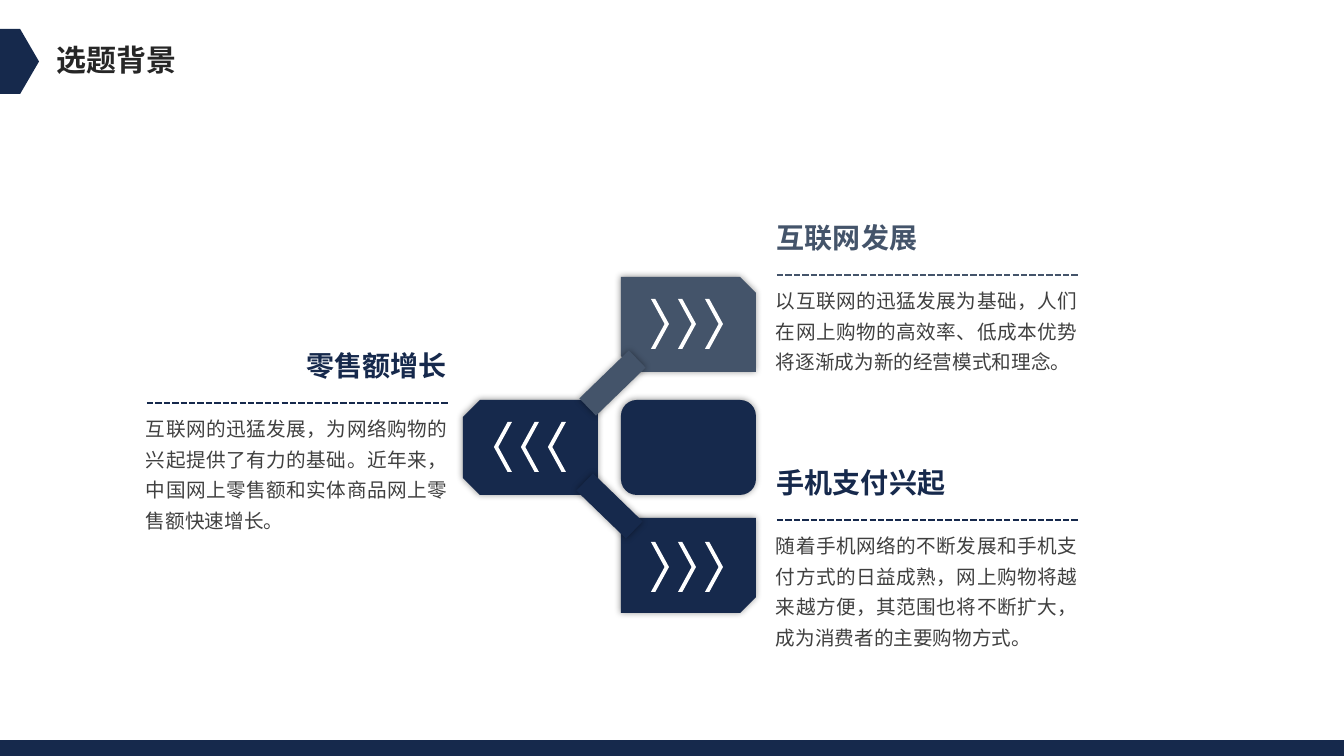
"""Build the topic background slide with three linked text blocks."""
from lxml import etree
from pptx import Presentation
from pptx import util as u
from pptx.dml.color import RGBColor
from pptx.enum import dml, shapes, text
from pptx.oxml import ns

SCALE = 914400 / 100.8
FONT = "Noto Sans CJK SC"
COLORS = {"navy": "16294C", "slate": "44546A", "white": "FFFFFF",
          "body": "404040", "title": "262626", "shadow": "000000"}
KIND = shapes.MSO_SHAPE
ALIGN = text.PP_ALIGN

TITLE = "选题背景"
BLOCKS = [
    dict(heading="互联网发展", body="以互联网的迅猛发展为基础，人们在网上购物的高效率、低成本优势将逐渐成为新的经营模式和理念。",
         left=766, rule=275, lines=3, color="slate", align=ALIGN.LEFT),
    dict(heading="手机支付兴起", body="随着手机网络的不断发展和手机支付方式的日益成熟，网上购物将越来越方便，其范围也将不断扩大，成为消费者的主要购物方式。",
         left=766, rule=520, lines=4, color="navy", align=ALIGN.LEFT),
    dict(heading="零售额增长", body="互联网的迅猛发展，为网络购物的兴起提供了有力的基础。近年来，中国网上零售额和实体商品网上零售额快速增长。",
         left=136, rule=403, lines=4, color="navy", align=ALIGN.RIGHT),
]
TILES = [
    (KIND.SNIP_2_DIAG_RECTANGLE, (621, 277, 135, 95), "slate", dict()),
    (KIND.SNIP_2_SAME_RECTANGLE, (483, 380, 95, 135), "navy",
     dict(turn=270, flip=True, adjust=(0.178, 0))),
    (KIND.SNIP_2_DIAG_RECTANGLE, (621, 518, 135, 95), "navy", dict(flip=True)),
    (KIND.ROUNDED_RECTANGLE, (621, 400, 135, 95), "navy", dict()),
]
LINKS = [
    (KIND.RECTANGLE, (578, 371, 69, 24), "slate", dict(turn=315.9)),
    (KIND.RECTANGLE, (575, 494, 69, 24), "navy", dict(turn=44.1, flip=True)),
]
CHEVRON_ROWS = [(651, 299, False), (494, 422, True), (651, 542, False)]
CHEVRON_STEPS = (0, 27, 54)
TEXT_WIDTH = 321


def px(length):
    return u.Emu(round(length * SCALE))


def rgb(name):
    return RGBColor.from_string(COLORS[name])


def add_shape(page, kind, place, color, turn=0, flip=False, adjust=(), shadow=False):
    shape = page.shapes.add_shape(kind, *map(px, place))
    shape.shadow.inherit = False
    shape.fill.solid()
    shape.fill.fore_color.rgb = rgb(color)
    shape.line.fill.background()
    shape.rotation = turn
    for index, value in enumerate(adjust):
        shape.adjustments[index] = value
    properties = shape.element.spPr
    if flip:
        properties.find(ns.qn("a:xfrm")).set("flipH", "1")
    if shadow:
        effects = properties.find(ns.qn("a:effectLst"))
        outer = etree.SubElement(effects, ns.qn("a:outerShdw"), blurRad=str(u.Pt(5)),
                                 dist="0", dir="0", algn="ctr", rotWithShape="0")
        tint = etree.SubElement(outer, ns.qn("a:srgbClr"), val=COLORS["shadow"])
        etree.SubElement(tint, ns.qn("a:alpha"), val="40000")


def add_text(page, words, place, size, color, bold=False, align=ALIGN.LEFT,
             wrap=False, spacing=1.0):
    box = page.shapes.add_textbox(*map(px, place))
    frame = box.text_frame
    frame.word_wrap = wrap
    frame.auto_size = text.MSO_AUTO_SIZE.SHAPE_TO_FIT_TEXT
    para = frame.paragraphs[0]
    para.alignment = align
    para.line_spacing = spacing
    span = para.add_run()
    span.text = words
    span.font.size = u.Pt(size)
    span.font.bold = bold
    span.font.name = FONT
    span.font.color.rgb = rgb(color)
    etree.SubElement(span.font._element, ns.qn("a:ea"), typeface=FONT)


def add_rule(page, left, top, width, color):
    rule = page.shapes.add_connector(shapes.MSO_CONNECTOR.STRAIGHT,
                                     px(left), px(top), px(left + width), px(top))
    rule.line.color.rgb = rgb(color)
    rule.line.width = u.Pt(1.5)
    rule.line.dash_style = dml.MSO_LINE.SQUARE_DOT
    etree.SubElement(rule.element.spPr, ns.qn("a:effectLst"))


def add_block(page, heading, body, left, rule, lines, color, align):
    add_text(page, body, (left, rule + 2, TEXT_WIDTH, 31 * lines + 10), 14, "body",
             align=ALIGN.JUSTIFY, wrap=True, spacing=1.3)
    width = 28 * len(heading) + 24
    start = left + TEXT_WIDTH - width if align == ALIGN.RIGHT else left + 1
    add_text(page, heading, (start, rule - 59, width, 44), 20, color, bold=True, align=align)
    add_rule(page, left + 11, rule, 301, color)


def main():
    deck = Presentation()
    deck.slide_width, deck.slide_height = px(1344), px(756)
    page = deck.slides.add_slide(deck.slide_layouts[6])
    for kind, place, color, options in TILES:
        add_shape(page, kind, place, color, shadow=True, **options)
    for left, top, flip in CHEVRON_ROWS:
        for step in CHEVRON_STEPS:
            add_shape(page, KIND.CHEVRON, (left + step, top, 18, 50), "white",
                      flip=flip, adjust=(0.758,))
    for kind, place, color, options in LINKS:
        add_shape(page, kind, place, color, shadow=True, **options)
    for block in BLOCKS:
        add_block(page, **block)
    add_shape(page, KIND.PENTAGON, (0, 29, 39, 65), "navy", adjust=(0.484,))
    add_text(page, TITLE, (47, 37, 142, 46), 21.4, "title", bold=True)
    add_shape(page, KIND.RECTANGLE, (0, 740, 1344, 16), "navy")
    deck.save("out.pptx")


if __name__ == "__main__":
    main()
